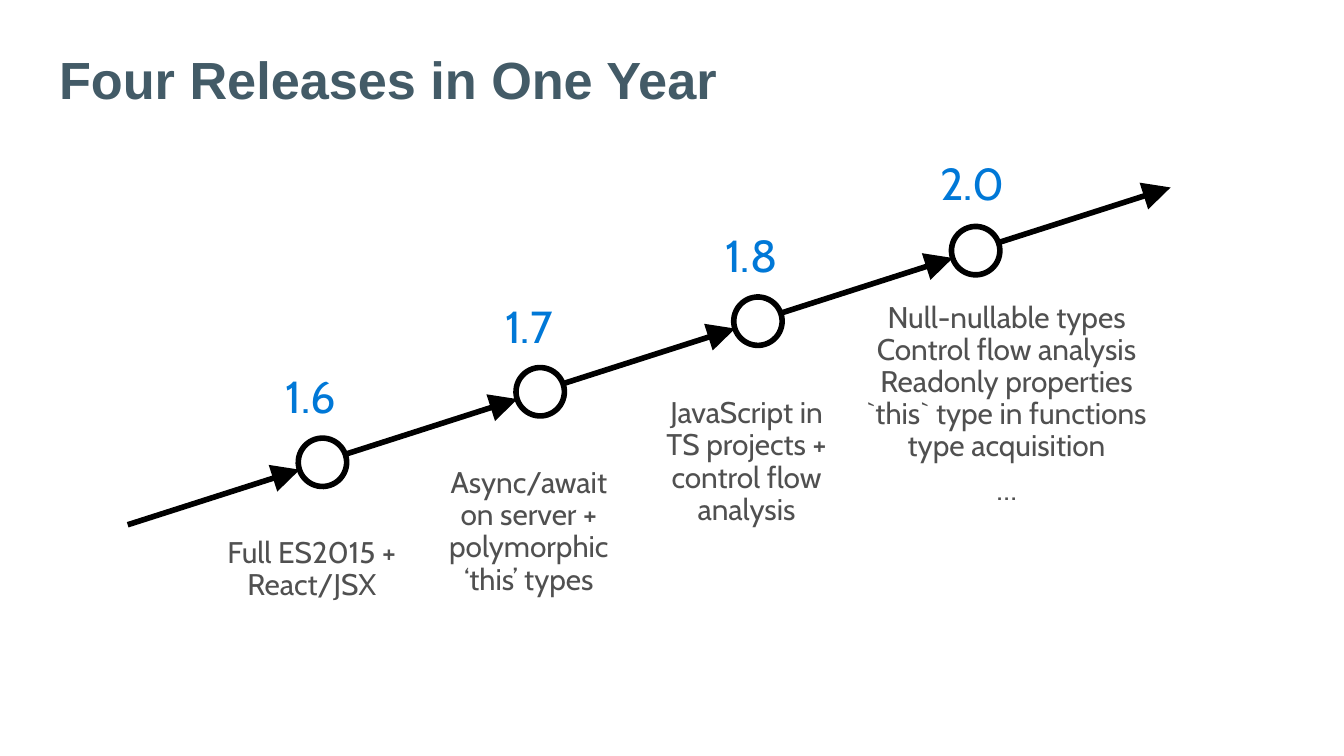
from lxml import etree
from pptx import Presentation
from pptx import util as u
from pptx.dml.color import RGBColor
from pptx.enum import shapes, text
from pptx.oxml import ns

PX = 4572
BLACK = RGBColor(0x00, 0x00, 0x00)
SLATE = RGBColor(0x43, 0x5B, 0x67)
BLUE = RGBColor(0x00, 0x78, 0xD7)
GRAY = RGBColor(0x50, 0x50, 0x50)

STEP_X, STEP_Y = 324, 105
RADIUS = 36
TILT = 342.1

RELEASES = [
    ("1.6", (-101, -162, 168, 138),
     ["Full ES2015 +\vReact/JSX"], (-190, 80, 348, 162)),
    ("1.7", (-101, -162, 168, 138),
     ["Async/await\von server +\vpolymorphic\v‘this’ types"], (-182, 81, 330, 258)),
    ("1.8", (-94, -162, 168, 138),
     ["JavaScript in\vTS projects +\vcontrol flow\vanalysis"], (-187, 82, 340, 258)),
    ("2.0", (-136, -165, 262, 138),
     ["Null-nullable types\vControl flow analysis\vReadonly properties\v"
      "`this` type in functions\vtype acquisition", "…"], (-212, 45, 516, 372)),
]


def px(*lengths):
    return [u.Emu(length * PX) for length in lengths]


def write(frame, paragraphs, size, color, font="Cabin", bold=False,
          align=text.PP_ALIGN.CENTER, spacing=0.9, before=6, margins=(40, 32)):
    frame.word_wrap = True
    frame.auto_size = text.MSO_AUTO_SIZE.NONE
    frame.vertical_anchor = text.MSO_ANCHOR.TOP
    frame.margin_left, frame.margin_top = px(*margins)
    frame.margin_right, frame.margin_bottom = px(*margins)
    frame.text = "\n".join(paragraphs)
    for index, paragraph in enumerate(frame.paragraphs):
        paragraph.alignment = align
        paragraph.line_spacing = spacing
        paragraph.space_before = u.Pt(before if index else 0)
        for run in paragraph.runs:
            run.font.name = font
            run.font.size = u.Pt(size)
            run.font.bold = bold
            run.font.color.rgb = color


def outline(line):
    line.color.rgb = BLACK
    line.width = u.Pt(3)


def add_title(slide, box, heading):
    title = slide.shapes.title
    title.left, title.top, title.width, title.height = px(*box)
    write(title.text_frame, [heading], 28, SLATE, font="Arial", bold=True,
          align=text.PP_ALIGN.LEFT, spacing=1, margins=(20, 10))


def add_arrow(slide, x, y):
    arrow = slide.shapes.add_connector(
        shapes.MSO_CONNECTOR.STRAIGHT, *px(x + 34, y - 12, x + 290, y - 94))
    outline(arrow.line)
    properties = arrow.element.spPr
    etree.SubElement(properties.find(ns.qn("a:ln")), ns.qn("a:tailEnd"),
                     type="triangle", w="lg", len="lg")
    etree.SubElement(properties, ns.qn("a:effectLst"))


def add_release(slide, x, y, version, version_box, features, features_box):
    circle = slide.shapes.add_shape(
        shapes.MSO_SHAPE.OVAL,
        *px(x - RADIUS, y - RADIUS, 2 * RADIUS, 2 * RADIUS))
    circle.rotation = TILT
    circle.shadow.inherit = False
    circle.fill.background()
    outline(circle.line)
    for box, paragraphs, size, color in (
            (version_box, [version], 24, BLUE),
            (features_box, features, 16, GRAY)):
        left, top, width, height = box
        label = slide.shapes.add_textbox(*px(x + left, y + top, width, height))
        write(label.text_frame, paragraphs, size, color)


def add_timeline(slide, x, y, releases):
    add_arrow(slide, x - STEP_X, y + STEP_Y)
    for index, release in enumerate(releases):
        center = x + index * STEP_X, y - index * STEP_Y
        add_arrow(slide, *center)
        add_release(slide, *center, *release)


def main():
    deck = Presentation()
    deck.slide_width, deck.slide_height = px(2000, 1125)
    slide = deck.slides.add_slide(deck.slide_layouts[5])
    add_title(slide, (68, 60, 1900, 122), "Four Releases in One Year")
    add_timeline(slide, 480, 688, RELEASES)
    deck.save("out.pptx")


if __name__ == "__main__":
    main()
